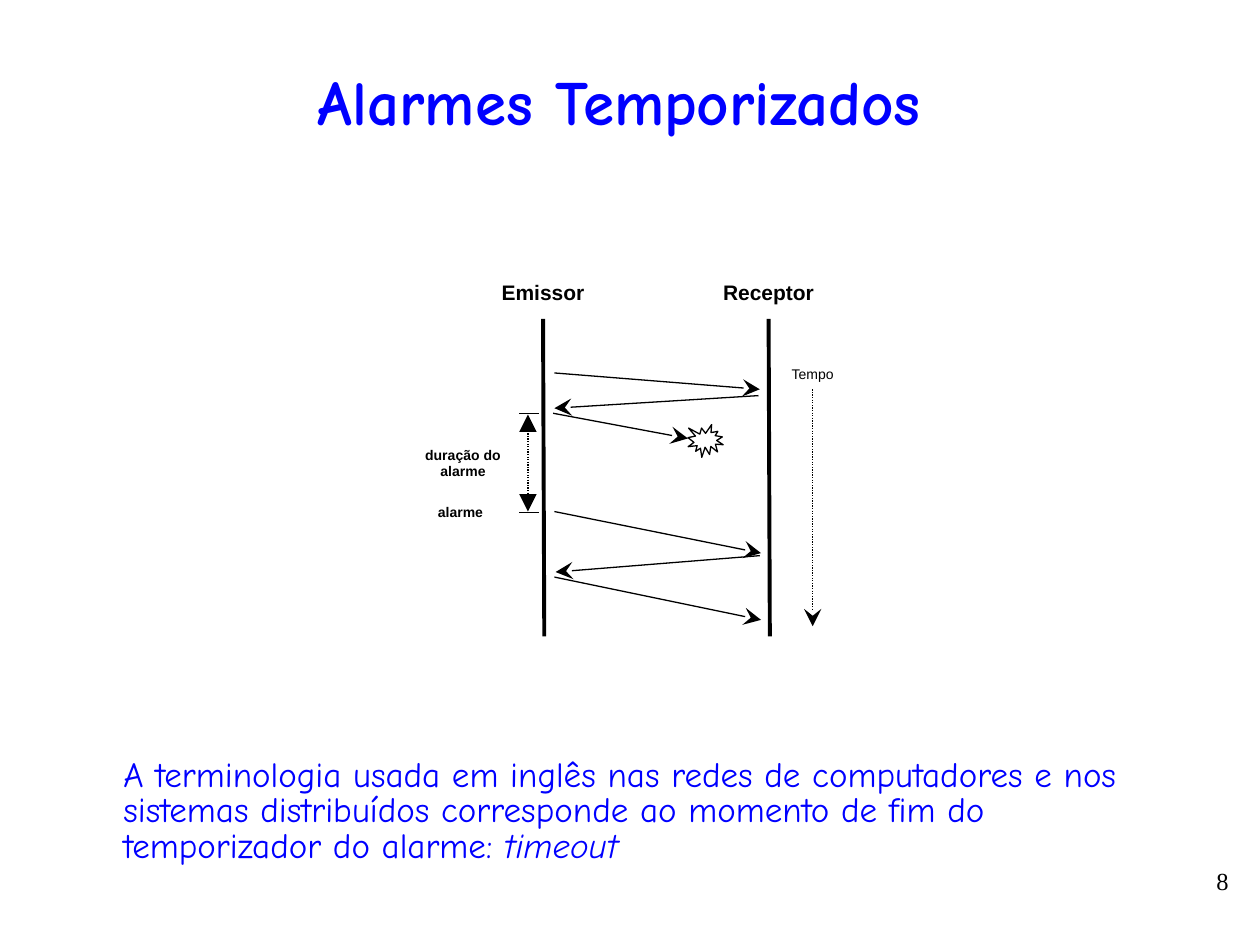
from dataclasses import dataclass

from lxml import etree
from pptx import Presentation
from pptx.dml.color import RGBColor
from pptx.enum import dml, shapes, text
from pptx.oxml.ns import qn
from pptx.util import Inches, Pt


@dataclass(frozen=True)
class Theme:
    blue: RGBColor = RGBColor(0x00, 0x00, 0xFF)
    black: RGBColor = RGBColor(0x00, 0x00, 0x00)
    heading_font: str = "Comic Neue"
    diagram_font: str = "Arial"
    number_font: str = "Times New Roman"
    title: int = 36
    body: int = 20
    number: int = 14
    role: int = 12
    label: int = 8
    thin: float = 0.75
    thick: float = 2.25


THEME = Theme()


def place(shape, left, top, width, height):
    shape.left, shape.top = Inches(left), Inches(top)
    shape.width, shape.height = Inches(width), Inches(height)


def style(paragraph, font_name, size, color, bold=False):
    font = paragraph.font
    font.name, font.size, font.bold = font_name, Pt(size), bold
    font.color.rgb = color


def add_title(slide, words):
    title = slide.shapes.title
    place(title, 0.33, 0.42, 9.17, 0.75)
    frame = title.text_frame
    frame.text = words
    frame.auto_size = text.MSO_AUTO_SIZE.NONE
    frame.vertical_anchor = text.MSO_ANCHOR.MIDDLE
    paragraph = frame.paragraphs[0]
    paragraph.alignment = text.PP_ALIGN.CENTER
    style(paragraph, THEME.heading_font, THEME.title, THEME.blue, bold=True)


def add_text(slide, box, words, align=text.PP_ALIGN.LEFT):
    """Add a wrapping text box and return its frame and first paragraph."""
    frame = slide.shapes.add_textbox(*map(Inches, box)).text_frame
    frame.word_wrap = True
    paragraph = frame.paragraphs[0]
    paragraph.add_run().text = words
    paragraph.alignment = align
    return frame, paragraph


def add_label(slide, box, words, size=THEME.label, bold=True):
    frame, paragraph = add_text(slide, box, words, text.PP_ALIGN.CENTER)
    frame.vertical_anchor = text.MSO_ANCHOR.MIDDLE
    frame.margin_top = frame.margin_bottom = Inches(0.1)
    style(paragraph, THEME.diagram_font, size, THEME.black, bold)


def add_line(slide, start, end, width=THEME.thin, dotted=False, head=None, tail=None):
    """Draw a line; head is the arrowhead at its start, tail the one at its end."""
    line = slide.shapes.add_connector(
        shapes.MSO_CONNECTOR.STRAIGHT, *map(Inches, (*start, *end)))
    line.line.color.rgb = THEME.black
    line.line.width = Pt(width)
    if dotted:
        line.line.dash_style = dml.MSO_LINE.ROUND_DOT
    outline = line.line._get_or_add_ln()
    for tag, kind in (("a:headEnd", head), ("a:tailEnd", tail)):
        if kind:
            etree.SubElement(outline, qn(tag), type=kind, w="lg", len="lg")
    etree.SubElement(line._element.spPr, qn("a:effectLst"))


def add_loss_burst(slide, box):
    burst = slide.shapes.add_shape(shapes.MSO_SHAPE.EXPLOSION1, *map(Inches, box))
    burst.shadow.inherit = False
    burst.fill.background()
    burst.line.color.rgb = THEME.black
    burst.line.width = Pt(THEME.thin)


def add_explanation(slide):
    _, paragraph = add_text(
        slide, (0.88, 5.97, 8.31, 1.25),
        "A terminologia usada em inglês nas redes de computadores e nos sistemas "
        "distribuídos corresponde ao momento de fim do temporizador do alarme: ")
    term = paragraph.add_run()
    term.text = "timeout"
    term.font.italic = True
    paragraph.line_spacing = 0.85
    style(paragraph, THEME.heading_font, THEME.body, THEME.blue)


def add_page_number(slide, number):
    _, paragraph = add_text(
        slide, (7.52, 6.82, 2.33, 0.52), number, text.PP_ALIGN.RIGHT)
    style(paragraph, THEME.number_font, THEME.number, THEME.black)


def add_participants(slide):
    for name, x in (("Emissor", 4.31), ("Receptor", 6.1)):
        add_label(slide, (x - 0.57, 2.09, 1.14, 0.45), name, THEME.role)
        add_line(slide, (x, 2.53), (x + 0.01, 5.05), THEME.thick)


def add_messages(slide):
    messages = (
        ((4.4, 2.96), (6.03, 3.09)),
        ((6.02, 3.14), (4.4, 3.24)),
        ((4.39, 3.28), (5.46, 3.48)),
        ((4.4, 4.06), (6.04, 4.39)),
        ((6.03, 4.41), (4.41, 4.54)),
        ((4.4, 4.58), (6.04, 4.92)),
    )
    for start, end in messages:
        add_line(slide, start, end, tail="stealth")
    add_loss_burst(slide, (5.46, 3.37, 0.28, 0.26))


def add_alarm(slide):
    alarm_start, alarm_end = 3.28, 4.07
    for y in (alarm_start, alarm_end):
        add_line(slide, (4.12, y), (4.28, y))
    add_line(slide, (4.19, alarm_start + 0.01), (4.19, alarm_end - 0.01),
             dotted=True, head="triangle", tail="triangle")
    add_label(slide, (3.24, 3.51, 0.87, 0.33), "duração do alarme")
    add_label(slide, (3.22, 3.9, 0.87, 0.33), "alarme")


def add_time_axis(slide):
    add_label(slide, (6.11, 2.84, 0.68, 0.26), "Tempo", bold=False)
    add_line(slide, (6.45, 3.09), (6.45, 4.97), dotted=True, tail="stealth")


def main():
    deck = Presentation()
    deck.slide_width, deck.slide_height = Inches(10), Inches(7.5)
    slide = deck.slides.add_slide(deck.slide_layouts[5])
    add_title(slide, "Alarmes Temporizados")
    add_explanation(slide)
    add_page_number(slide, "8")
    add_participants(slide)
    add_time_axis(slide)
    add_messages(slide)
    add_alarm(slide)
    deck.save("out.pptx")


if __name__ == "__main__":
    main()
